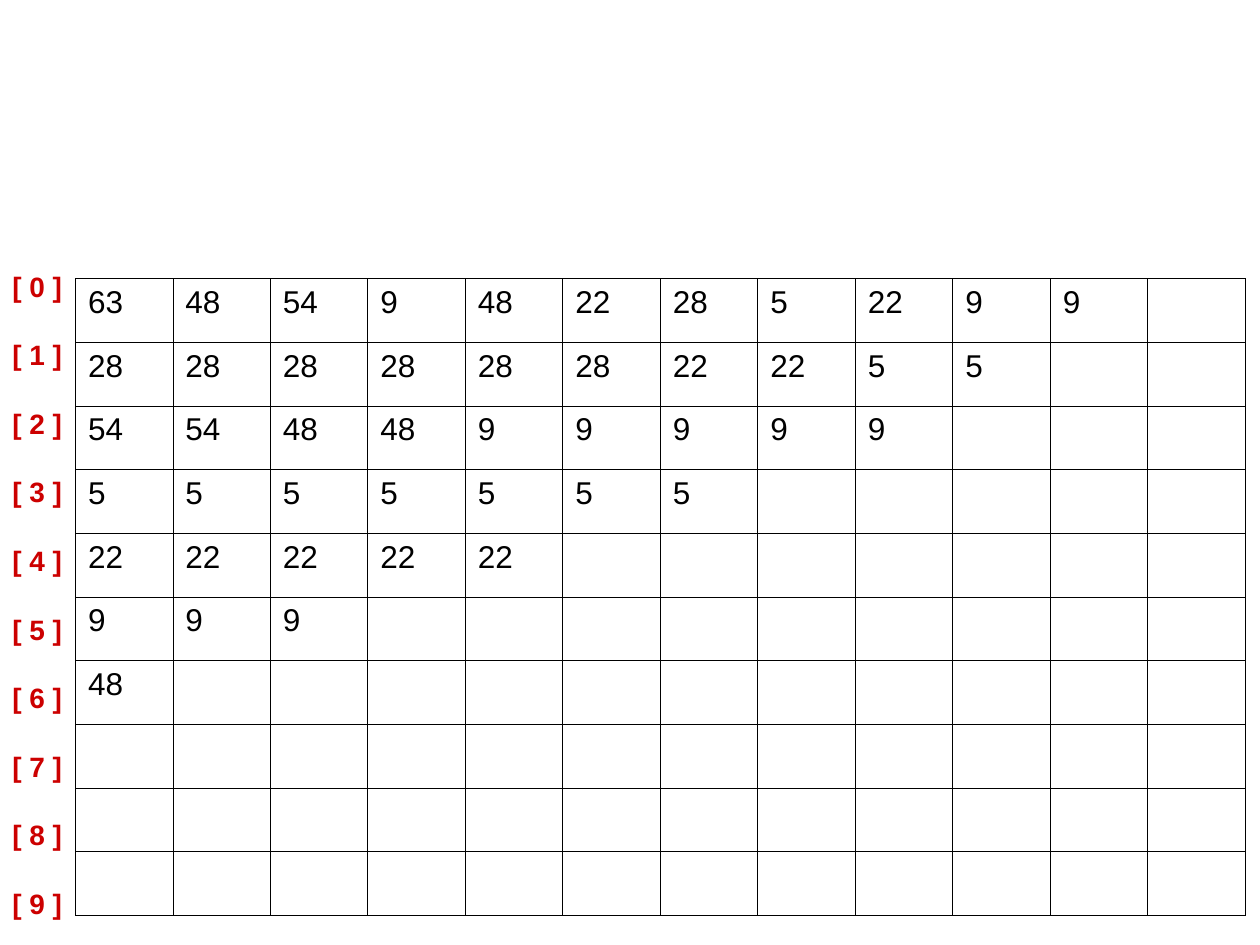
from dataclasses import dataclass

from lxml import etree
from pptx import Presentation
from pptx.dml.color import RGBColor
from pptx.enum import text
from pptx.oxml.ns import qn
from pptx.util import Cm, Pt

COLORS = {"label": "CC0000", "value": "000000", "border": "000000"}
FONT = "Arial"
COLUMNS = 12


@dataclass
class Box:
    left: float
    top: float
    width: float
    height: float

    def lengths(self) -> tuple:
        return Cm(self.left), Cm(self.top), Cm(self.width), Cm(self.height)


LABEL_BOX = Box(0, 5.3, 1.53, 13.13)
GRID_BOX = Box(1.52, 5.62, 23.58, 12.83)

ROWS = [
    [63, 48, 54, 9, 48, 22, 28, 5, 22, 9, 9],
    [28] * 6 + [22, 22, 5, 5],
    [54, 54, 48, 48] + [9] * 5,
    [5] * 7,
    [22] * 5,
    [9] * 3,
    [48],
    [],
    [],
    [],
]


def add_run(p, words: str, size: float, color: str, bold: bool = False) -> None:
    r = p.add_run()
    r.text = words
    r.font.name = FONT
    r.font.size = Pt(size)
    r.font.bold = bold
    r.font.color.rgb = RGBColor.from_string(COLORS[color])


def set_borders(cell, width: float, color: str) -> None:
    tc_pr = cell._tc.get_or_add_tcPr()
    for i, side in enumerate(("lnL", "lnR", "lnT", "lnB")):
        ln = etree.Element(qn(f"a:{side}"), w=str(Pt(width)))
        fill = etree.SubElement(ln, qn("a:solidFill"))
        etree.SubElement(fill, qn("a:srgbClr"), val=COLORS[color])
        tc_pr.insert(i, ln)  # borders come before the fill


def add_row_labels(s, box: Box, count: int) -> None:
    sp = s.shapes.add_textbox(*box.lengths())
    tf = sp.text_frame
    tf.word_wrap = False
    tf.auto_size = text.MSO_AUTO_SIZE.SHAPE_TO_FIT_TEXT
    for i in range(count):
        p = tf.add_paragraph() if i else tf.paragraphs[0]
        if i:
            p.space_before = Pt(20)
        add_run(p, f"[ {i} ]", 16, "label", bold=True)


def add_grid(s, box: Box, rows: list[list[int]], columns: int) -> None:
    table = s.shapes.add_table(len(rows), columns, *box.lengths()).table
    table.first_row = False
    table.horz_banding = False
    for i, values in enumerate(rows):
        for j in range(columns):
            cell = table.cell(i, j)
            cell.fill.background()
            set_borders(cell, 0.45, "border")
            if j < len(values):
                add_run(cell.text_frame.paragraphs[0], str(values[j]), 18, "value")


def main() -> None:
    prs = Presentation()
    prs.slide_width, prs.slide_height = Cm(25.4), Cm(19.05)
    s = prs.slides.add_slide(prs.slide_layouts[6])

    # Row indexes beside the grid
    add_row_labels(s, LABEL_BOX, len(ROWS))

    # Grid of values
    add_grid(s, GRID_BOX, ROWS, COLUMNS)

    prs.save("out.pptx")


if __name__ == "__main__":
    main()
